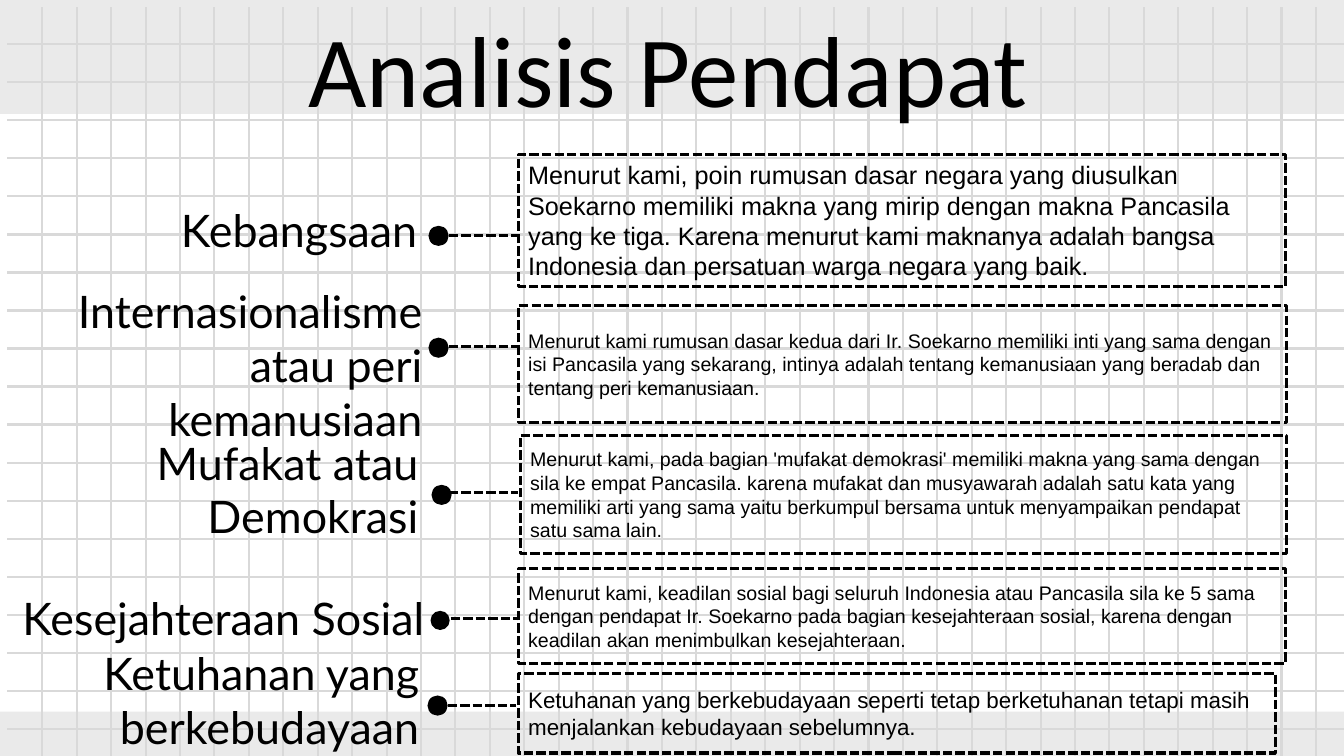
from lxml.etree import SubElement
from pptx import Presentation
from pptx.dml.color import RGBColor
from pptx.enum.dml import MSO_LINE
from pptx.enum.shapes import MSO_CONNECTOR, MSO_SHAPE as SHAPE
from pptx.enum.text import MSO_ANCHOR as ANCHOR, MSO_AUTO_SIZE as AUTOFIT, PP_ALIGN as ALIGN
from pptx.oxml.ns import qn
from pptx.util import Pt

PX = 9144  # 100 px to the inch
BLACK = RGBColor(0x00, 0x00, 0x00)
GRAY = RGBColor(0xD9, 0xD9, 0xD9)

# label, label box left/top/height, dot left/top/size, connector start/end/y,
# opinion box left/top/width/height, opinion text size, opinion
POINTS = [
    ("Kebangsaan", (1, 196, 64), (425, 224, 20), (445, 514, 234),
     (514, 153, 761, 131), 18,
     "Menurut kami, poin rumusan dasar negara yang diusulkan Soekarno memiliki makna "
     "yang mirip dengan makna Pancasila yang ke tiga. Karena menurut kami maknanya "
     "adalah bangsa Indonesia dan persatuan warga negara yang baik."),
    ("Internasionalisme atau peri kemanusiaan", (6, 277, 118), (425, 335, 20), (445, 514, 344),
     (514, 303, 762, 116), 14,
     "Menurut kami rumusan dasar kedua dari Ir. Soekarno memiliki inti yang sama dengan "
     "isi Pancasila yang sekarang, intinya adalah tentang kemanusiaan yang beradab dan "
     "tentang peri kemanusiaan."),
    ("Mufakat atau Demokrasi", (2, 427, 118), (428, 481, 20), (445, 514, 489),
     (516, 432, 760, 117), 14,
     "Menurut kami, pada bagian 'mufakat demokrasi' memiliki makna yang sama dengan "
     "sila ke empat Pancasila. karena mufakat dan musyawarah adalah satu kata yang "
     "memiliki arti yang sama yaitu berkumpul bersama untuk menyampaikan pendapat "
     "satu sama lain."),
    ("Kesejahteraan Sosial", (8, 581, 64), (427, 606, 19), (447, 516, 614),
     (514, 564, 761, 94), 14,
     "Menurut kami, keadilan sosial bagi seluruh Indonesia atau Pancasila sila ke 5 sama "
     "dengan pendapat Ir. Soekarno pada bagian kesejahteraan sosial, karena dengan "
     "keadilan akan menimbulkan kesejahteraan."),
    ("Ketuhanan yang berkebudayaan", (3, 636, 118), (424, 690, 20), (444, 512, 700),
     (514, 668, 751, 79), 16,
     "Ketuhanan yang berkebudayaan seperti tetap berketuhanan tetapi masih "
     "menjalankan kebudayaan sebelumnya."),
]


def add_line(shapes, x1, y1, x2, y2, color, weight, dash=None):
    line = shapes.add_connector(MSO_CONNECTOR.STRAIGHT,
                                *(round(v * PX) for v in (x1, y1, x2, y2)))
    line.line.color.rgb = color
    line.line.width = Pt(weight)
    line.line.dash_style = dash
    SubElement(line.element.spPr, qn("a:effectLst"))


def write(shape, text, font, size, align, anchor=ANCHOR.TOP):
    frame = shape.text_frame
    frame.word_wrap = True
    frame.auto_size = AUTOFIT.NONE
    frame.vertical_anchor = anchor
    paragraph = frame.paragraphs[0]
    paragraph.alignment = align
    run = paragraph.add_run()
    run.text = text
    run.font.name = font
    run.font.size = Pt(size)
    run.font.color.rgb = BLACK


prs = Presentation()
prs.slide_width, prs.slide_height = 1333 * PX, 750 * PX
slide = prs.slides.add_slide(prs.slide_layouts[5])

# Background grid
grid = slide.shapes.add_group_shape().shapes
for column in range(38):
    x = 42 + 34.14 * column
    add_line(grid, x, 7, x, 757, GRAY, 1.5)
for row in range(19):
    y = 44 + 37.72 * row
    add_line(grid, 1340, y, 7, y, GRAY, 1.5)

# Translucent bands at the top and bottom
for top, height in ((-4, 117), (706, 44)):
    band = slide.shapes.add_shape(SHAPE.RECTANGLE, 0, top * PX, 1333 * PX, height * PX)
    band.shadow.inherit = False
    band.fill.solid()
    band.fill.fore_color.rgb = GRAY
    band.line.fill.background()
    color = band.element.spPr.find(qn("a:solidFill"))[0]
    SubElement(color, qn("a:alpha"), val="54000")

# Title, brought in front of the grid
title = slide.shapes.title
title.left, title.top, title.width, title.height = 188 * PX, 2 * PX, 972 * PX, 131 * PX
write(title, "Analisis Pendapat ", "Calibri", 72, ALIGN.CENTER)
title.element.getparent().append(title.element)

# Each point: label, dot, dashed connector and boxed opinion
for label, label_box, dot_box, connector, opinion_box, size, opinion in POINTS:
    group = slide.shapes.add_group_shape().shapes

    left, top, diameter = dot_box
    dot = group.add_shape(SHAPE.OVAL, left * PX, top * PX, diameter * PX, diameter * PX)
    dot.shadow.inherit = False
    dot.fill.solid()
    dot.fill.fore_color.rgb = BLACK
    dot.line.fill.background()

    start, end, y = connector
    add_line(group, start, y, end, y, BLACK, 2.25, MSO_LINE.SQUARE_DOT)

    box = group.add_shape(SHAPE.RECTANGLE, *(v * PX for v in opinion_box))
    box.shadow.inherit = False
    box.fill.background()
    box.line.color.rgb = BLACK
    box.line.width = Pt(2.25)
    box.line.dash_style = MSO_LINE.SQUARE_DOT
    write(box, opinion, "Arial", size, ALIGN.LEFT, ANCHOR.MIDDLE)

    left, top, height = label_box
    caption = slide.shapes.add_textbox(left * PX, top * PX, 423 * PX, height * PX)
    write(caption, label, "Lato", 32, ALIGN.RIGHT)

prs.save("out.pptx")
